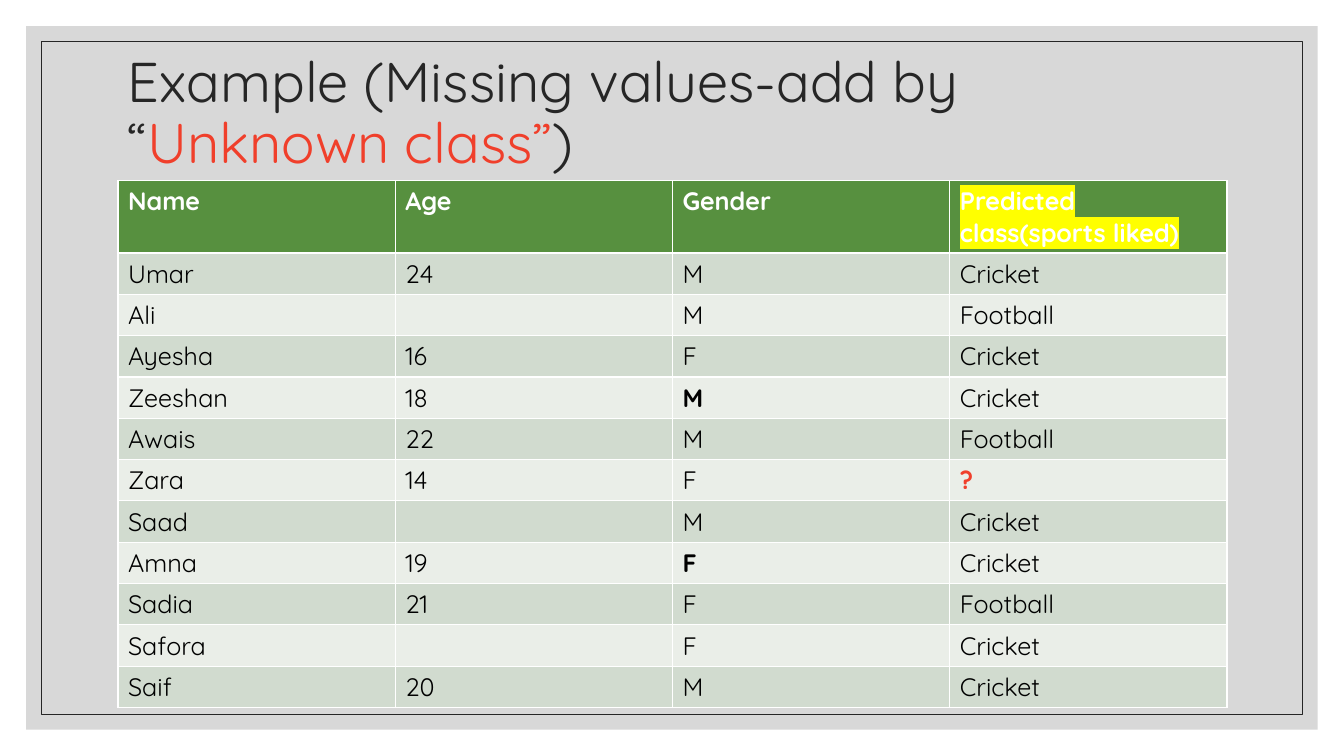
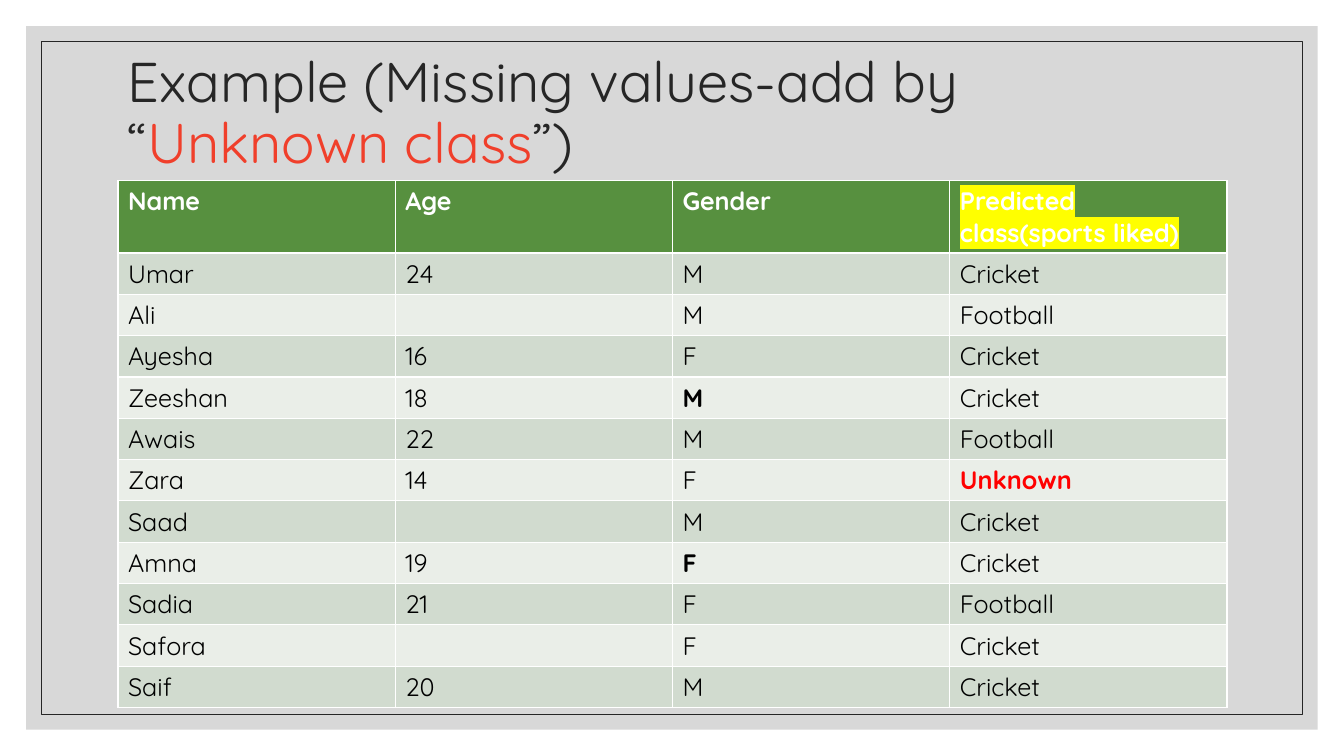
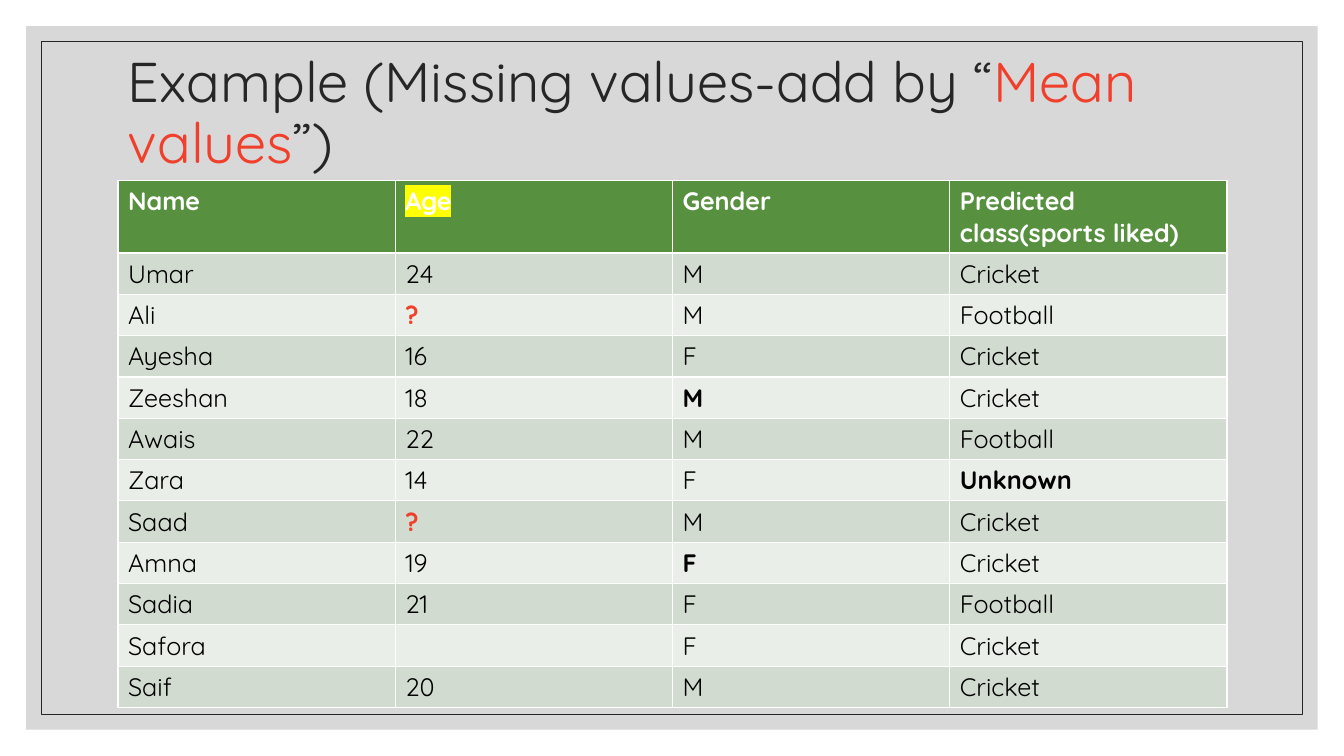
from lxml.etree import SubElement
from pptx import Presentation
from pptx.dml.color import RGBColor
from pptx.enum.shapes import MSO_SHAPE
from pptx.enum.text import MSO_ANCHOR
from pptx.oxml.ns import qn
from pptx.util import Inches, Pt

FONT = "Quicksand"
COLORS = {
    "panel": "BFBFBF", "ink": "262626", "accent": "F03F2B", "red": "FF0000",
    "head": "57903F", "odd": "D1DBCF", "even": "EAEEE8",
    "white": "FFFFFF", "black": "000000", "mark": "FFFF00",
}
LEAD = "Example (Missing values-add by “"
HEADS = ("Name", "Age", "Gender", "Predicted class(sports liked)")
PEOPLE = [
    ("Umar", "24", "M", "Cricket"),
    ("Ali", "", "M", "Football"),
    ("Ayesha", "16", "F", "Cricket"),
    ("Zeeshan", "18", "M", "Cricket"),
    ("Awais", "22", "M", "Football"),
    ("Zara", "14", "F", ""),
    ("Saad", "", "M", "Cricket"),
    ("Amna", "19", "F", "Cricket"),
    ("Sadia", "21", "F", "Football"),
    ("Safora", "", "F", "Cricket"),
    ("Saif", "20", "M", "Cricket"),
]
BOLD = {("Zeeshan", "Gender"), ("Amna", "Gender")}
AGE, SPORT = HEADS[1], HEADS[3]
SLIDES = [
    {"topic": "Unknown class”", "tail": ")", "mark": SPORT,
     "fills": {("Zara", SPORT): ("?", "accent")}},
    {"topic": "Unknown class", "tail": "”)", "mark": SPORT,
     "fills": {("Zara", SPORT): ("Unknown", "red")}},
    {"topic": "Mean values", "tail": "”)", "mark": AGE,
     "fills": {("Ali", AGE): ("?", "accent"),
               ("Saad", AGE): ("?", "accent"),
               ("Zara", SPORT): ("Unknown", "black")}},
]
WIDE, HIGH = 13.33, 7.5
LEFT, WIDTH = 1.17, 11
HEAD_H, ROW_H = 0.72, 0.41


def color(name):
    return RGBColor.from_string(COLORS[name])


def add_panel(slide, inset):
    box = slide.shapes.add_shape(
        MSO_SHAPE.RECTANGLE, Inches(inset), Inches(inset),
        Inches(WIDE - 2 * inset), Inches(HIGH - 2 * inset))
    box.shadow.inherit = False
    return box


def add_frame(slide):
    panel = add_panel(slide, 0.26)
    panel.fill.solid()
    panel.fill.fore_color.rgb = color("panel")
    tint = panel.fill._xPr.find(qn("a:solidFill"))[0]
    SubElement(tint, qn("a:alpha"), val="60000")
    panel.line.fill.background()
    border = add_panel(slide, 0.41)
    border.fill.background()
    border.line.color.rgb = color("ink")
    border.line.width = Pt(0.5)


def add_run(para, text, tone):
    run = para.add_run()
    run.text = text
    run.font.color.rgb = color(tone)
    return run


def add_title(slide, topic, tail):
    box = slide.shapes.add_textbox(
        Inches(LEFT), Inches(0.39), Inches(WIDTH), Inches(1.5))
    frame = box.text_frame
    frame.word_wrap = True
    frame.vertical_anchor = MSO_ANCHOR.MIDDLE
    para = frame.paragraphs[0]
    para.line_spacing = 0.9
    para.font.name, para.font.size = FONT, Pt(40)
    for text, tone in ((LEAD, "ink"), (topic, "accent"), (tail, "ink")):
        add_run(para, text, tone)


def fill_cell(cell, text, back, tone, bold, mark=False):
    cell.fill.solid()
    cell.fill.fore_color.rgb = color(back)
    para = cell.text_frame.paragraphs[0]
    para.font.name, para.font.size = FONT, Pt(18)
    if not text:
        return
    run = add_run(para, text, tone)
    run.font.bold = bold
    if mark:
        light = SubElement(run.font._element, qn("a:highlight"))
        SubElement(light, qn("a:srgbClr"), val=COLORS["mark"])


def add_grid(slide, mark, fills):
    count = len(PEOPLE)
    table = slide.shapes.add_table(
        count + 1, len(HEADS), Inches(LEFT), Inches(1.79),
        Inches(WIDTH), Inches(HEAD_H + count * ROW_H)).table
    table.horz_banding = False
    for row in table.rows:
        row.height = Inches(ROW_H)
    table.rows[0].height = Inches(HEAD_H)
    for col, head in enumerate(HEADS):
        table.columns[col].width = Inches(WIDTH / len(HEADS))
        fill_cell(table.cell(0, col), head, "head", "white", True, head == mark)
        for row, person in enumerate(PEOPLE, 1):
            key = (person[0], head)
            text, tone = fills.get(key, (person[col], "black"))
            back = "odd" if row % 2 else "even"
            fill_cell(table.cell(row, col), text, back, tone,
                      key in BOLD or key in fills)


def main():
    deck = Presentation()
    deck.slide_width, deck.slide_height = Inches(WIDE), Inches(HIGH)
    for page in SLIDES:
        slide = deck.slides.add_slide(deck.slide_layouts[6])
        add_frame(slide)
        add_title(slide, page["topic"], page["tail"])
        add_grid(slide, page["mark"], page["fills"])
    deck.save("out.pptx")


if __name__ == "__main__":
    main()
